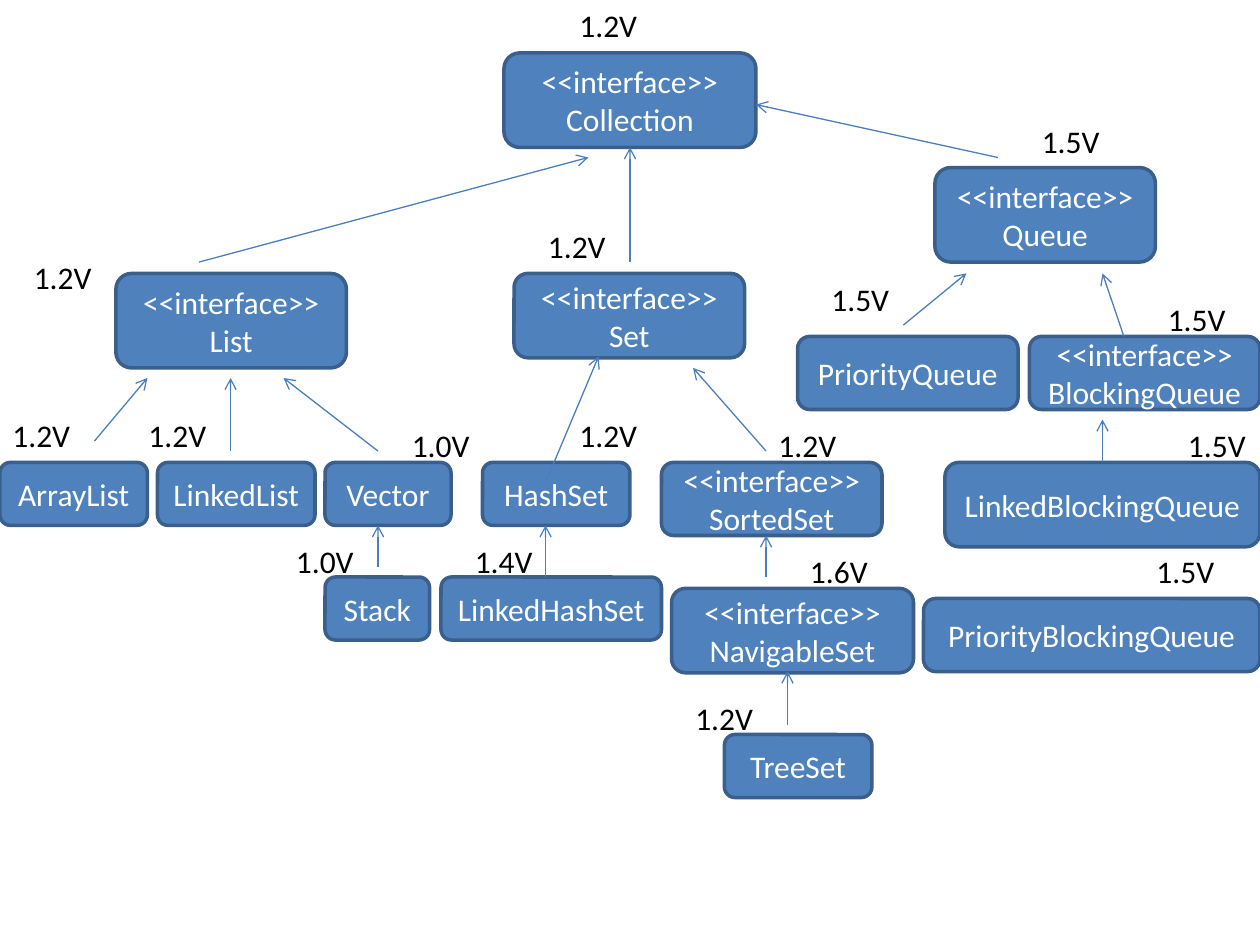
from lxml import etree
from pptx import Presentation
from pptx.dml.color import RGBColor
from pptx.enum import shapes, text
from pptx.oxml import ns
from pptx.util import Inches, Pt

INTERFACE = "<<interface>>"

# name, is interface, (left, top, width, height), version, (label left, label top)
TYPES = [
    ("Collection", True, (4, 0.42, 2, 0.75), "1.2V", (4.5, 0)),
    ("List", True, (0.92, 2.17, 1.83, 0.75), "1.2V", (0.17, 2)),
    ("Set", True, (4.08, 2.17, 1.83, 0.67), "1.2V", (4.25, 1.75)),
    ("Queue", True, (7.42, 1.33, 1.75, 0.75), "1.5V", (8.17, 0.92)),
    ("ArrayList", False, (0, 3.67, 1.17, 0.5), "1.2V", (0, 3.25)),
    ("LinkedList", False, (1.25, 3.67, 1.25, 0.5), "1.2V", (1.08, 3.25)),
    ("Vector", False, (2.58, 3.67, 1, 0.5), "1.0V", (3.17, 3.33)),
    ("Stack", False, (2.58, 4.58, 0.83, 0.5), "1.0V", (2.25, 4.25)),
    ("HashSet", False, (3.83, 3.67, 1.17, 0.5), "1.2V", (4.5, 3.25)),
    ("LinkedHashSet", False, (3.5, 4.58, 1.75, 0.5), "1.4V", (3.67, 4.25)),
    ("SortedSet", True, (5.25, 3.67, 1.75, 0.58), "1.2V", (6.08, 3.33)),
    ("NavigableSet", True, (5.33, 4.67, 1.92, 0.67), "1.6V", (6.33, 4.33)),
    ("TreeSet", False, (5.75, 5.83, 1.17, 0.5), "1.2V", (5.42, 5.5)),
    ("PriorityQueue", False, (6.33, 2.67, 1.75, 0.58), "1.5V", (6.5, 2.17)),
    ("BlockingQueue", True, (8.17, 2.67, 1.83, 0.58), "1.5V", (9.17, 2.33)),
    ("LinkedBlockingQueue", False, (7.5, 3.67, 2.5, 0.67), "1.5V", (9.33, 3.33)),
    ("PriorityBlockingQueue", False, (7.33, 4.75, 2.67, 0.58), "1.5V", (9.08, 4.33)),
]

# subtype end, supertype end
ARROWS = [
    ((1.58, 2.08), (4.67, 1.25)),  # List to Collection
    ((5, 2.08), (5, 1.17)),        # Set to Collection
    ((7.92, 1.25), (6, 0.83)),     # Queue to Collection
    ((0.75, 3.5), (1.17, 3)),      # ArrayList to List
    ((1.83, 3.58), (1.83, 3)),     # LinkedList to List
    ((3, 3.58), (2.25, 3)),        # Vector to List
    ((3, 4.5), (3, 4.17)),         # Stack to Vector
    ((4.33, 3.83), (4.75, 2.83)),  # HashSet to Set
    ((4.33, 4.58), (4.33, 4.17)),  # LinkedHashSet to HashSet
    ((6.08, 3.58), (5.5, 2.92)),   # SortedSet to Set
    ((6.08, 4.58), (6.08, 4.25)),  # NavigableSet to SortedSet
    ((6.25, 5.75), (6.25, 5.33)),  # TreeSet to NavigableSet
    ((7.17, 2.58), (7.67, 2.17)),  # PriorityQueue to Queue
    ((8.92, 2.67), (8.75, 2.17)),  # BlockingQueue to Queue
    ((8.75, 3.67), (8.75, 3.33)),  # LinkedBlockingQueue to BlockingQueue
]


def paint(color_format, color):
    color_format.rgb = RGBColor.from_string(color)


def write(frame, lines, color, align):
    frame.text = "\n".join(lines)
    for para in frame.paragraphs:
        para.alignment = align
        para.font.name = "Calibri"
        para.font.size = Pt(18)
        paint(para.font.color, color)


def add_type(page, name, is_interface, place):
    box = page.shapes.add_shape(shapes.MSO_SHAPE.ROUNDED_RECTANGLE, *map(Inches, place))
    box.shadow.inherit = False
    box.fill.solid()
    paint(box.fill.fore_color, "4F81BD")
    paint(box.line.color, "3A5F8C")
    box.line.width = Pt(2)
    box.text_frame.vertical_anchor = text.MSO_ANCHOR.MIDDLE
    lines = [INTERFACE, name] if is_interface else [name]
    write(box.text_frame, lines, "FFFFFF", text.PP_ALIGN.CENTER)


def add_arrow(page, start, end):
    arrow = page.shapes.add_connector(
        shapes.MSO_CONNECTOR.STRAIGHT, *map(Inches, start + end))
    paint(arrow.line.color, "4B7EBC")
    arrow.line.width = Pt(0.75)
    etree.SubElement(arrow.line._get_or_add_ln(), ns.qn("a:tailEnd"), type="arrow")
    etree.SubElement(arrow._element.spPr, ns.qn("a:effectLst"))


def add_version(page, version, corner):
    label = page.shapes.add_textbox(*map(Inches, corner + (0.67, 0.4)))
    label.text_frame.word_wrap = False
    label.text_frame.auto_size = text.MSO_AUTO_SIZE.SHAPE_TO_FIT_TEXT
    write(label.text_frame, [version], "000000", text.PP_ALIGN.LEFT)


def main():
    deck = Presentation()
    deck.slide_width, deck.slide_height = Inches(10), Inches(7.5)
    page = deck.slides.add_slide(deck.slide_layouts.get_by_name("Blank"))
    for name, is_interface, place, _, _ in TYPES:
        add_type(page, name, is_interface, place)
    for start, end in ARROWS:
        add_arrow(page, start, end)
    for _, _, _, version, corner in TYPES:
        add_version(page, version, corner)
    deck.save("out.pptx")


if __name__ == "__main__":
    main()
